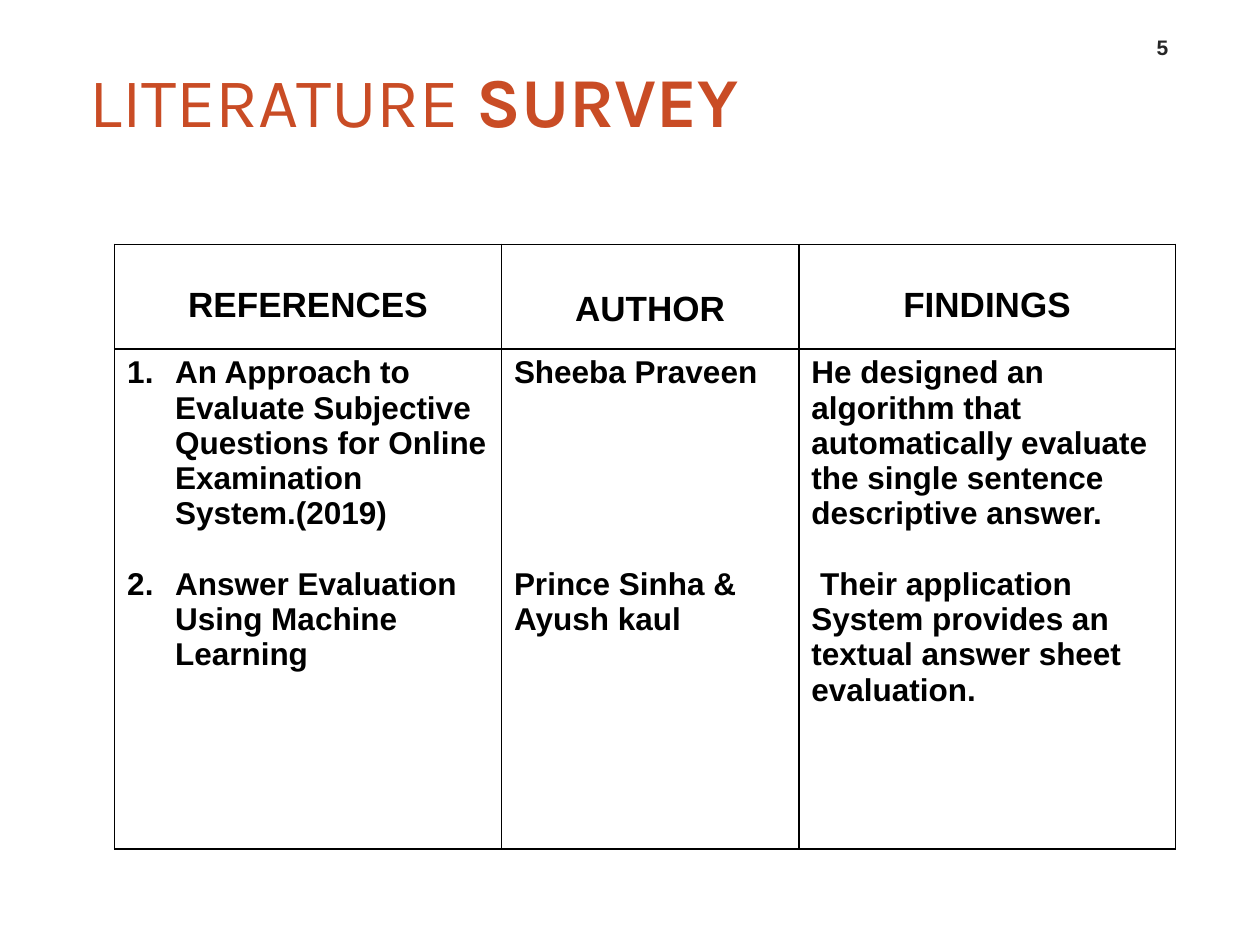
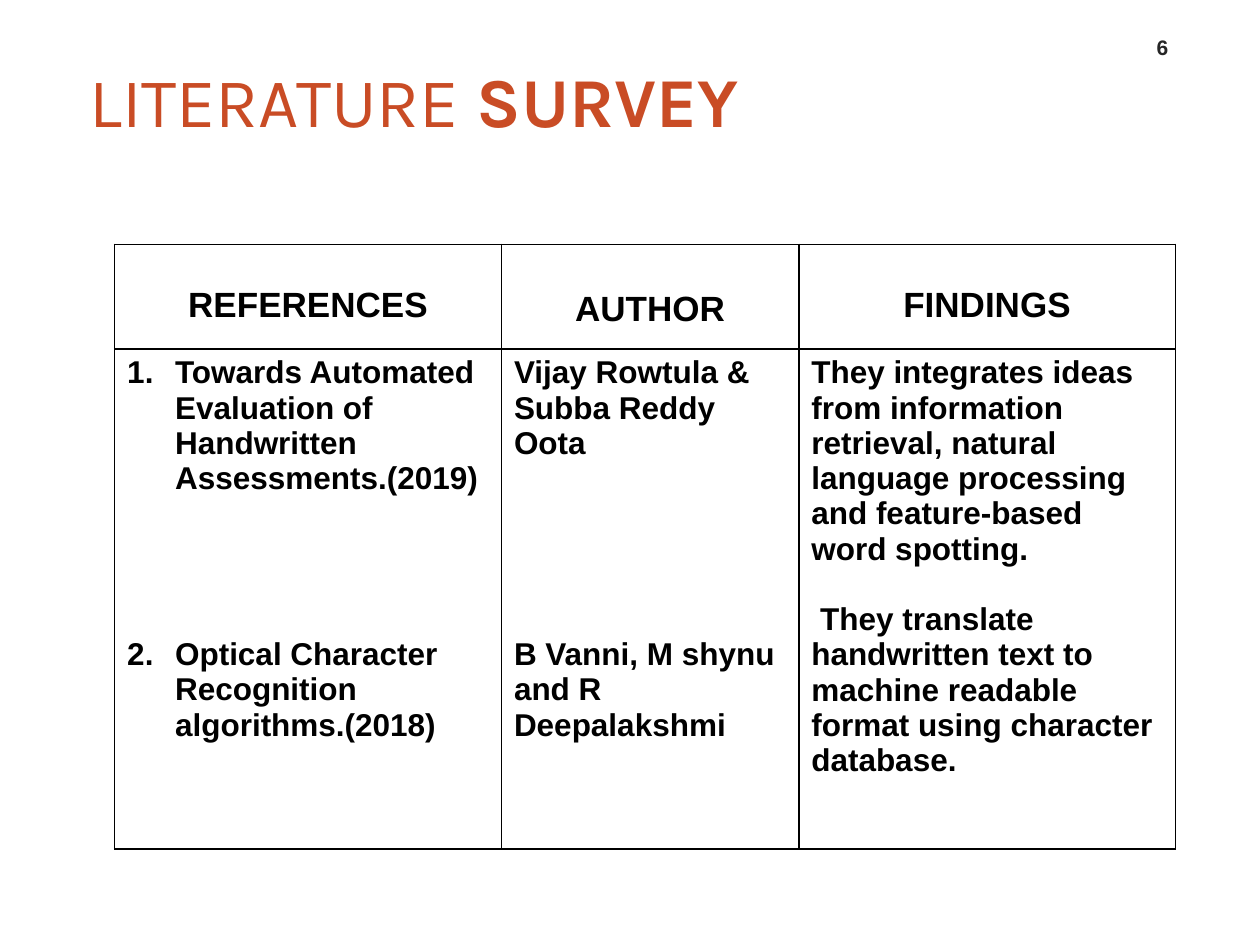
from dataclasses import dataclass
from lxml.etree import SubElement as Sub
from pptx import Presentation
from pptx.dml.color import RGBColor as Rgb
from pptx.enum.text import MSO_ANCHOR as Anchor, PP_ALIGN as Align
from pptx.oxml.ns import qn
from pptx.util import Inches, Pt


@dataclass(frozen=True)
class Theme:
    accent: str = "C94C25"
    ink: str = "000000"
    muted: str = "262626"
    paper: str = "FFFFFF"
    head_font: str = "Karla"
    body_font: str = "Arial"
    title: int = 40
    head: int = 20
    body: int = 18
    page: int = 12
    rule: int = 1
    line: float = 20.1  # height of one body line in points


THEME = Theme()
COLS = (3.07, 2.36, 2.99)
ROWS = (0.83, 3.97)
# Column name and space above it
HEADS = (("REFERENCES", 0.33), ("AUTHOR", 0.36), ("FINDINGS", 0.33))

# Per column: first entry, empty lines between, second entry
PAGES = {
    5: (
        ("An Approach to Evaluate Subjective Questions for Online "
         "Examination System.(2019)", 1,
         "Answer Evaluation Using Machine Learning"),
        ("Sheeba Praveen", 5, "Prince Sinha & Ayush kaul"),
        ("He designed an algorithm that automatically evaluate the single "
         "sentence descriptive answer.", 1,
         "Their application System provides an textual answer sheet "
         "evaluation."),
    ),
    6: (
        ("Towards Automated Evaluation of Handwritten Assessments.(2019)", 4,
         "Optical Character Recognition algorithms.(2018)"),
        ("Vijay Rowtula & Subba Reddy Oota", 5,
         "B Vanni, M shynu and R Deepalakshmi"),
        ("They integrates ideas from information retrieval, natural language "
         "processing and feature-based word spotting.", 1,
         "They translate handwritten text to machine readable format using "
         "character database."),
    ),
}


def apply(obj, fmt):
    for name, value in fmt.items():
        setattr(obj, name, value)


def add_run(para, text, size, color=THEME.ink, font=THEME.body_font, bold=True):
    run = para.add_run()
    run.text = text
    apply(run.font, {"name": font, "size": Pt(size), "bold": bold})
    run.font.color.rgb = Rgb.from_string(color)


def indent(para, left, first):
    props = para._p.get_or_add_pPr()
    props.set("marL", str(Inches(left)))
    props.set("indent", str(Inches(first)))
    return props


def number(para):
    """Make the paragraph a numbered item with a hanging indent."""
    props = indent(para, 0.38, -0.38)
    Sub(props, qn("a:buFont"), typeface=THEME.body_font)
    Sub(props, qn("a:buAutoNum"), type="arabicPeriod")


def add_box(slide, place, fmt):
    frame = slide.shapes.add_textbox(*map(Inches, place)).text_frame
    apply(frame, {"word_wrap": True, **fmt})
    return frame.paragraphs[0]


def add_title(slide):
    para = add_box(slide, (0.51, 0.42, 5.36, 0.74), {
        "vertical_anchor": Anchor.MIDDLE, "margin_left": 0, "margin_right": 0})
    indent(para, 0.2, 0)
    for text, bold in (("LITERATURE", False), (" SURVEY", True)):
        add_run(para, text, THEME.title, THEME.accent, THEME.head_font, bold)


def add_page(slide, page):
    para = add_box(slide, (8.95, 0.19, 0.55, 0.33),
                   {"vertical_anchor": Anchor.BOTTOM})
    para.alignment = Align.CENTER
    add_run(para, str(page), THEME.page, THEME.muted)


def style(cell):
    """Give the cell a plain fill and a thin line on each side."""
    props = cell._tc.get_or_add_tcPr()
    for side in "LRTB":
        line = Sub(props, qn(f"a:ln{side}"), w=str(Pt(THEME.rule)))
        Sub(Sub(line, qn("a:solidFill")), qn("a:srgbClr"), val=THEME.ink)
    cell.fill.solid()
    cell.fill.fore_color.rgb = Rgb.from_string(THEME.paper)


def fill_head(cell, text, top):
    cell.margin_top = Inches(top)
    para = cell.text_frame.paragraphs[0]
    para.alignment = Align.CENTER
    add_run(para, text, THEME.head)


def fill_body(cell, col, entry):
    first, gap, second = entry
    frame = cell.text_frame
    paras = frame.paragraphs[0], frame.add_paragraph()
    paras[1].space_before = Pt(gap * THEME.line)
    for para, text in zip(paras, (first, second)):
        add_run(para, text, THEME.body)
        if col == 0:
            number(para)
    if col == len(COLS) - 1:
        indent(paras[1], 0, 0.07)


def add_survey(slide, entries):
    size = map(Inches, (0.91, 1.94, sum(COLS), sum(ROWS)))
    table = slide.shapes.add_table(len(ROWS), len(COLS), *size).table
    apply(table, {"first_row": False, "horz_banding": False})
    for row, high in zip(table.rows, ROWS):
        row.height = Inches(high)
    for col, wide in enumerate(COLS):
        table.columns[col].width = Inches(wide)
        fill_head(table.cell(0, col), *HEADS[col])
        fill_body(table.cell(1, col), col, entries[col])
    for cell in table.iter_cells():
        style(cell)


def main():
    deck = Presentation()
    apply(deck, {"slide_width": Inches(10), "slide_height": Inches(7.5)})
    for page, entries in PAGES.items():
        slide = deck.slides.add_slide(deck.slide_layouts[6])
        add_title(slide)
        add_page(slide, page)
        add_survey(slide, entries)
    deck.save("out.pptx")


if __name__ == "__main__":
    main()
